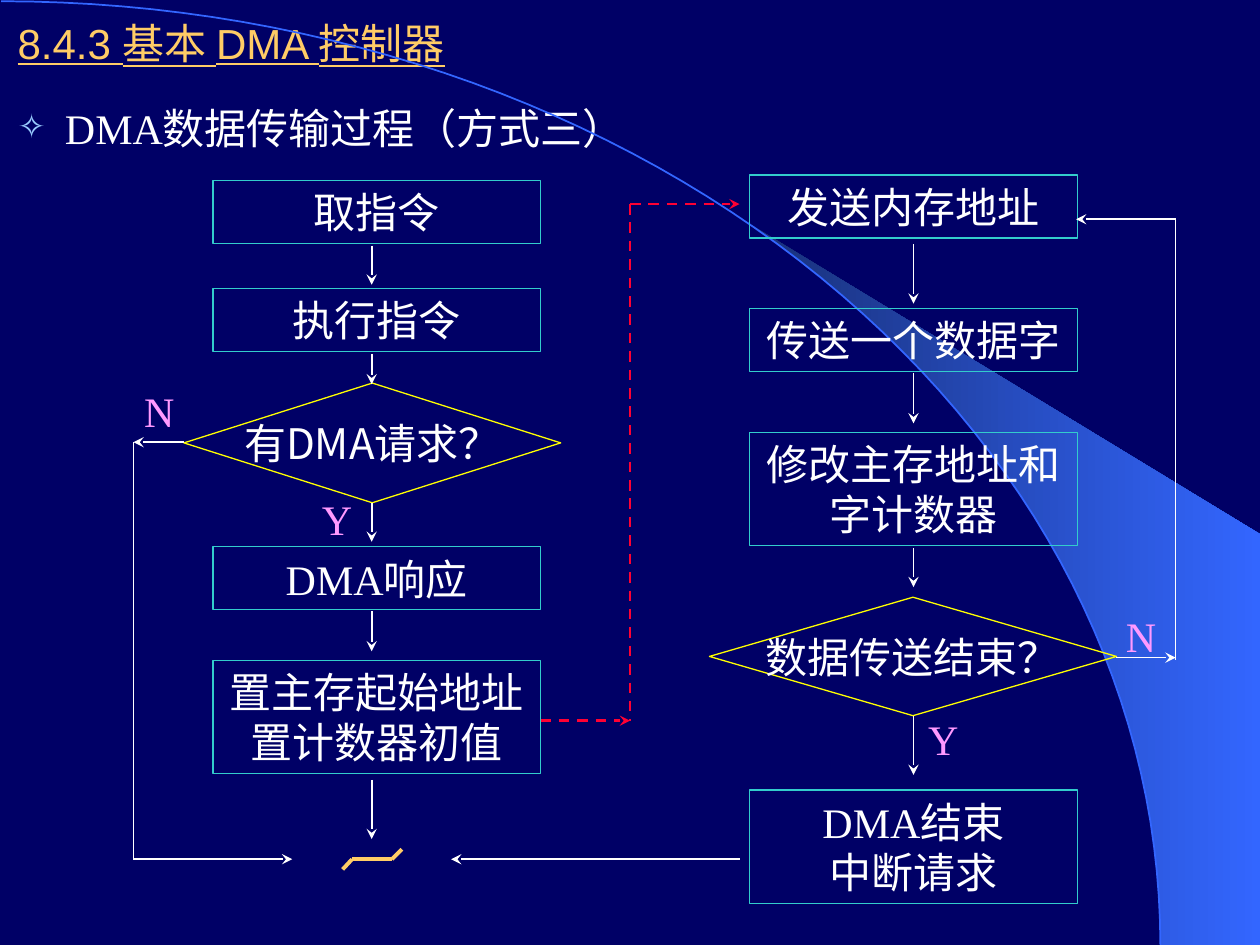
"""Build a flowchart slide about the DMA data transfer process."""
import dataclasses
import itertools
import math

import lxml.etree
import pptx
import pptx.dml.color
import pptx.enum.dml
import pptx.enum.shapes
import pptx.enum.text
import pptx.oxml.ns
import pptx.util

Pt = pptx.util.Pt
Align = pptx.enum.text.PP_ALIGN
Anchor = pptx.enum.text.MSO_ANCHOR
AutoSize = pptx.enum.text.MSO_AUTO_SIZE
Shape = pptx.enum.shapes.MSO_SHAPE


@dataclasses.dataclass(frozen=True)
class Theme:
    navy: str = "000066"
    shade: str = "182F76"
    blue: str = "3366FF"
    gold: str = "FFCC66"
    white: str = "FFFFFF"
    teal: str = "33CCCC"
    yellow: str = "FFFF00"
    red: str = "FF0033"
    pink: str = "FF99FF"
    bullet: str = "99CCFF"
    size: int = 24
    heading: str = "Arial"
    serif: str = "Times New Roman"
    chinese: str = "Noto Sans CJK SC"


THEME = Theme()
WIDTH, HEIGHT = 720, 540
BOX_WIDTH = 187.2
ONE_LINE, TWO_LINES = 36, 64.8
LEFT_BOX, RIGHT_BOX = 121.7, 428.4
LEFT_AXIS, RIGHT_AXIS = 212.4, 522


def rgb(value):
    return pptx.dml.color.RGBColor.from_string(value)


def add_xml(parent, tag, **attributes):
    return lxml.etree.SubElement(parent, pptx.oxml.ns.qn(tag), **attributes)


def write(para, text, colour, face, align=Align.CENTER, underline=None):
    para.alignment = align
    para.space_before = Pt(0)
    span = para.add_run()
    span.text = text
    span.font.size = Pt(THEME.size)
    span.font.color.rgb = rgb(colour)
    span.font.underline = underline
    span.font.name = face
    add_xml(span.font._element, "a:ea", typeface=THEME.chinese)


def place(box, left, top, width, height):
    box.left, box.top, box.width, box.height = map(Pt, (left, top, width, height))


def add_title(page, text):
    box = page.shapes.title
    place(box, 2.9, 5.8, 708.5, 37.4)
    box.text_frame.auto_size = AutoSize.NONE
    box.text_frame.vertical_anchor = Anchor.MIDDLE
    write(box.text_frame.paragraphs[0], text, THEME.gold, THEME.heading, Align.LEFT, True)


def add_body(page, text):
    box = page.placeholders[1]
    place(box, 2.9, 54.7, 711.4, 476.6)
    box.text_frame.auto_size = AutoSize.NONE
    para = box.text_frame.paragraphs[0]
    properties = para._p.get_or_add_pPr()
    properties.set("marL", str(Pt(27)))
    properties.set("indent", str(Pt(-27)))
    add_xml(add_xml(properties, "a:buClr"), "a:srgbClr", val=THEME.bullet)
    add_xml(properties, "a:buSzPct", val="80000")
    add_xml(properties, "a:buChar", char="✧")
    write(para, text, THEME.white, THEME.serif, Align.LEFT)


def add_outline(page, kind, left, top, width, height, colour):
    box = page.shapes.add_shape(kind, *map(Pt, (left, top, width, height)))
    box.shadow.inherit = False
    box.fill.background()
    box.line.color.rgb = rgb(colour)
    box.line.width = Pt(0.75)
    return box


def add_step(page, left, top, height, *lines):
    box = add_outline(page, Shape.RECTANGLE, left, top, BOX_WIDTH, height, THEME.teal)
    frame = box.text_frame
    frame.word_wrap = True
    frame.auto_size = AutoSize.SHAPE_TO_FIT_TEXT
    frame.vertical_anchor = Anchor.TOP
    for index, line in enumerate(lines):
        para = frame.add_paragraph() if index else frame.paragraphs[0]
        write(para, line, THEME.white, THEME.serif)


def add_decision(page, left, top, width, height, text):
    box = add_outline(page, Shape.DIAMOND, left, top, width, height, THEME.yellow)
    box.text_frame.word_wrap = False
    box.text_frame.vertical_anchor = Anchor.MIDDLE
    write(box.text_frame.paragraphs[0], text, THEME.white, THEME.chinese)


def add_label(page, left, top, text):
    box = page.shapes.add_textbox(*map(Pt, (left, top, 51.1, ONE_LINE)))
    box.text_frame.word_wrap = True
    write(box.text_frame.paragraphs[0], text, THEME.pink, THEME.serif)


def add_line(page, start, end, colour=THEME.white, width=1, arrow=True, dashed=False):
    line = page.shapes.add_connector(
        pptx.enum.shapes.MSO_CONNECTOR.STRAIGHT, *map(Pt, (*start, *end)))
    line.line.color.rgb = rgb(colour)
    line.line.width = Pt(width)
    if dashed:
        line.line.dash_style = pptx.enum.dml.MSO_LINE.DASH
    if arrow:
        add_xml(line.line._get_or_add_ln(), "a:tailEnd", type="stealth")
    add_xml(line._element.spPr, "a:effectLst")


def arc_points(start, steps=60):
    angles = [start + (math.pi / 2 - start) * i / steps for i in range(steps + 1)]
    return [(0.7 + 662.4 * math.sin(a), 0.7 + 539.3 * (1 - math.cos(a))) for a in angles]


def add_freeform(page, points, close):
    scaled = [(Pt(x), Pt(y)) for x, y in points]
    builder = page.shapes.build_freeform(*scaled[0])
    builder.add_line_segments(scaled[1:], close=close)
    outline = builder.convert_to_shape()
    outline.shadow.inherit = False
    return outline


def add_backdrop(page):
    page.background.fill.solid()
    page.background.fill.fore_color.rgb = rgb(THEME.navy)
    beam = add_freeform(page, arc_points(0.695) + [(WIDTH, HEIGHT), (WIDTH, 305.3)], True)
    beam.line.fill.background()
    beam.fill.gradient()
    beam.fill.gradient_angle = 0
    for stop, colour in zip(beam.fill.gradient_stops, (THEME.shade, THEME.blue)):
        stop.color.rgb = rgb(colour)
    arc = add_freeform(page, arc_points(0), False)
    arc.fill.background()
    arc.line.color.rgb = rgb(THEME.blue)
    arc.line.width = Pt(1)


def add_steps(page):
    add_step(page, LEFT_BOX, 103, ONE_LINE, "取指令")
    add_step(page, LEFT_BOX, 164.9, ONE_LINE, "执行指令")
    add_decision(page, 105.1, 218.9, 215.3, 68.4, "有DMA请求？")
    add_step(page, LEFT_BOX, 312.5, ONE_LINE, "DMA响应")
    add_step(page, LEFT_BOX, 377.3, TWO_LINES, "置主存起始地址", "置计数器初值")
    add_step(page, RIGHT_BOX, 100.1, ONE_LINE, "发送内存地址")
    add_step(page, RIGHT_BOX, 176.4, ONE_LINE, "传送一个数据字")
    add_step(page, RIGHT_BOX, 247, TWO_LINES, "修改主存地址和字计数器")
    add_decision(page, 405.4, 341.3, 232.6, 67.7, "数据传送结束？")
    add_step(page, RIGHT_BOX, 451.4, TWO_LINES, "DMA结束", "中断请求")


def add_flow(page):
    spans = {
        LEFT_AXIS: [(140.4, 162.7), (202.3, 219.6), (287.3, 309.6), (349.2, 372.2), (445.7, 479.5)],
        RIGHT_AXIS: [(139.7, 173.5), (213.1, 241.9), (313.2, 335.5), (409, 442.8)],
    }
    for axis, pairs in spans.items():
        for top, bottom in pairs:
            add_line(page, (axis, top), (axis, bottom))
    for start, end in (((105.1, 252.7), (76.3, 252.7)), ((76.3, 491), (167, 491)),
                       ((422.6, 491), (257.8, 491)), ((637.9, 375.8), (671.8, 375.8)),
                       ((671.8, 125.3), (614.9, 125.3))):
        add_line(page, start, end)
    add_line(page, (76.3, 252.7), (76.3, 491), width=0.75, arrow=False)
    add_line(page, (671.8, 125.3), (671.8, 377.3), width=0.75, arrow=False)
    for start, end, arrow in (((308.9, 411.8), (360, 411.8), True),
                              ((360, 116.6), (360, 411.8), False),
                              ((360, 116.6), (422.6, 116.6), True)):
        add_line(page, start, end, THEME.red, 1.5, arrow, True)
    bends = [(195.8, 496.8), (201.2, 491), (223.9, 491), (229.7, 485.3)]
    for start, end in itertools.pairwise(bends):
        add_line(page, start, end, THEME.gold, 2.25, False)


def main():
    deck = pptx.Presentation()
    deck.slide_width, deck.slide_height = Pt(WIDTH), Pt(HEIGHT)
    page = deck.slides.add_slide(deck.slide_layouts[1])
    add_backdrop(page)
    add_title(page, "8.4.3 基本 DMA 控制器")
    add_body(page, "DMA数据传输过程（方式三）")
    add_steps(page)
    add_flow(page)
    for left, top, text in ((167, 278.6, "Y"), (65.5, 216.7, "N"),
                            (513.4, 403.9, "Y"), (626.4, 345.6, "N")):
        add_label(page, left, top, text)
    deck.save("out.pptx")


if __name__ == "__main__":
    main()
